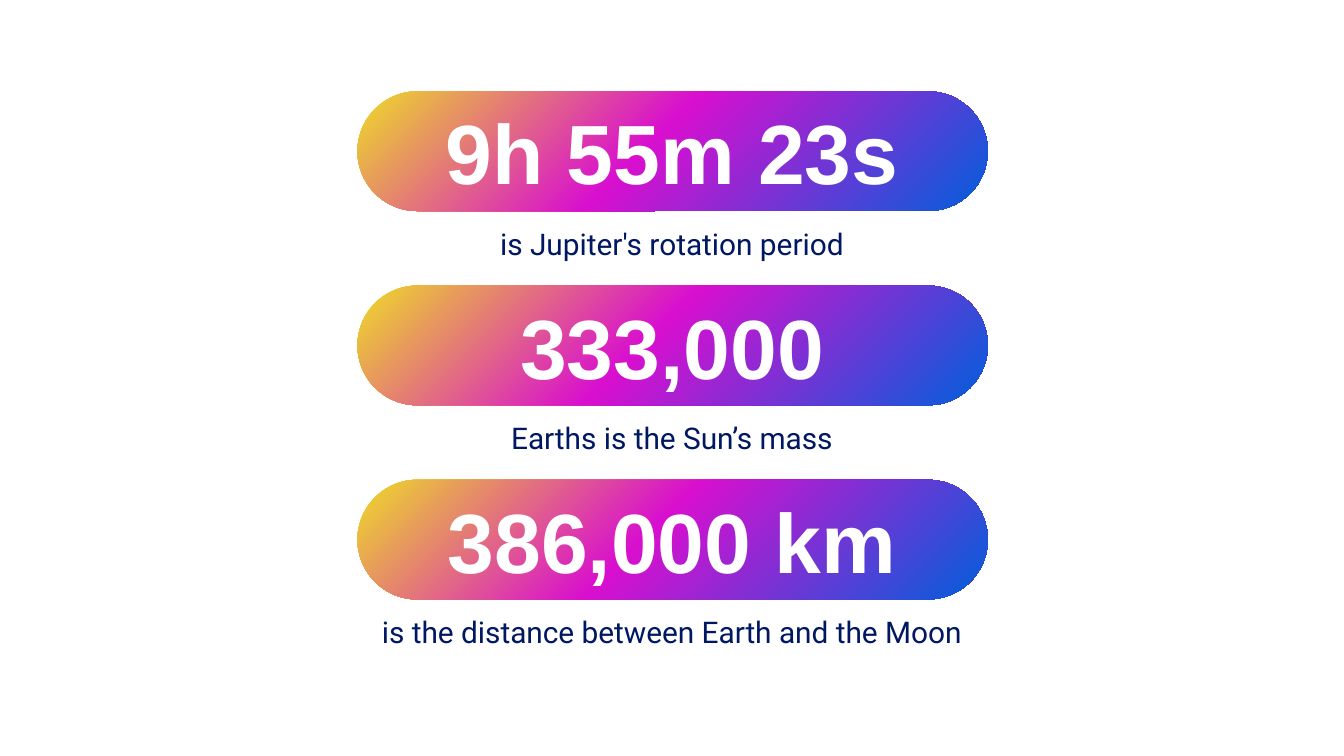
from copy import deepcopy

from pptx import Presentation
from pptx.dml.color import RGBColor
from pptx.enum.shapes import MSO_SHAPE as Shape
from pptx.enum.text import MSO_ANCHOR as Anchor, MSO_AUTO_SIZE as AutoSize, PP_ALIGN as Align
from pptx.oxml.ns import qn
from pptx.util import Inches, Pt

FACTS = [
    ("9h 55m 23s", "is Jupiter's rotation period"),
    ("333,000", "Earths is the Sun’s mass"),
    ("386,000 km", "is the distance between Earth and the Moon"),
]
GRADIENT = [(0, "EEDB28"), (0.46, "D80FCF"), (1, "005FDB")]
FIRST_TOP, LAST_TOP = 0.68, 3.57
ROW_STEP = (LAST_TOP - FIRST_TOP) / (len(FACTS) - 1)


def color(value):
    """Return the colour for a hex string."""
    return RGBColor.from_string(value)


def add_pill(page, top):
    """Add a gradient pill behind all text."""
    pill = page.shapes.add_shape(
        Shape.ROUNDED_RECTANGLE, Inches(2.66), Inches(top), Inches(4.69), Inches(0.89)
    )
    pill.adjustments[0] = 0.5
    pill.shadow.inherit = False
    pill.line.fill.background()
    pill.fill.gradient()
    pill.fill.gradient_angle = 315
    first_stop = next(pill.element.iter(qn("a:gs")))
    first_stop.addnext(deepcopy(first_stop))
    for stop, (position, value) in zip(pill.fill.gradient_stops, GRADIENT):
        stop.position = position
        stop.color.rgb = color(value)
    page.shapes.element.insert(2, pill.element)


def write_text(box, area, text, font, size, value, bold):
    """Place a box and fill it with one centred line."""
    box.left, box.top, box.width, box.height = map(Inches, area)
    frame = box.text_frame
    frame.word_wrap = True
    frame.auto_size = AutoSize.NONE
    frame.vertical_anchor = Anchor.MIDDLE
    frame.margin_left = frame.margin_right = Inches(0.1)
    frame.margin_top = frame.margin_bottom = Inches(0.1)
    para = frame.paragraphs[0]
    para.alignment = Align.CENTER
    para.space_before = Pt(0)
    span = para.add_run()
    span.text = text
    span.font.name = font
    span.font.size = Pt(size)
    span.font.bold = bold
    span.font.color.rgb = color(value)


def add_box(page):
    """Add an empty text box."""
    return page.shapes.add_textbox(0, 0, Inches(1), Inches(1))


def add_fact(page, top, number, caption, number_box, caption_box):
    """Add a pill with its number and the caption below."""
    add_pill(page, top)
    write_text(number_box, (2.91, top + 0.12, 4.18, 0.65), number, "Arial", 45, "FFFFFF", True)
    write_text(caption_box, (2.71, top + 0.88, 4.58, 0.5), caption, "Roboto", 16, "001861", False)


def main():
    """Build the slide of three space facts."""
    deck = Presentation()
    deck.slide_width, deck.slide_height = Inches(10), Inches(10 * 9 / 16)
    page = deck.slides.add_slide(deck.slide_layouts[0])
    title, subtitle = page.placeholders
    for row, (number, caption) in enumerate(FACTS):
        boxes = (title, subtitle) if row == 0 else (add_box(page), add_box(page))
        add_fact(page, FIRST_TOP + row * ROW_STEP, number, caption, *boxes)
    deck.save("out.pptx")


if __name__ == "__main__":
    main()
